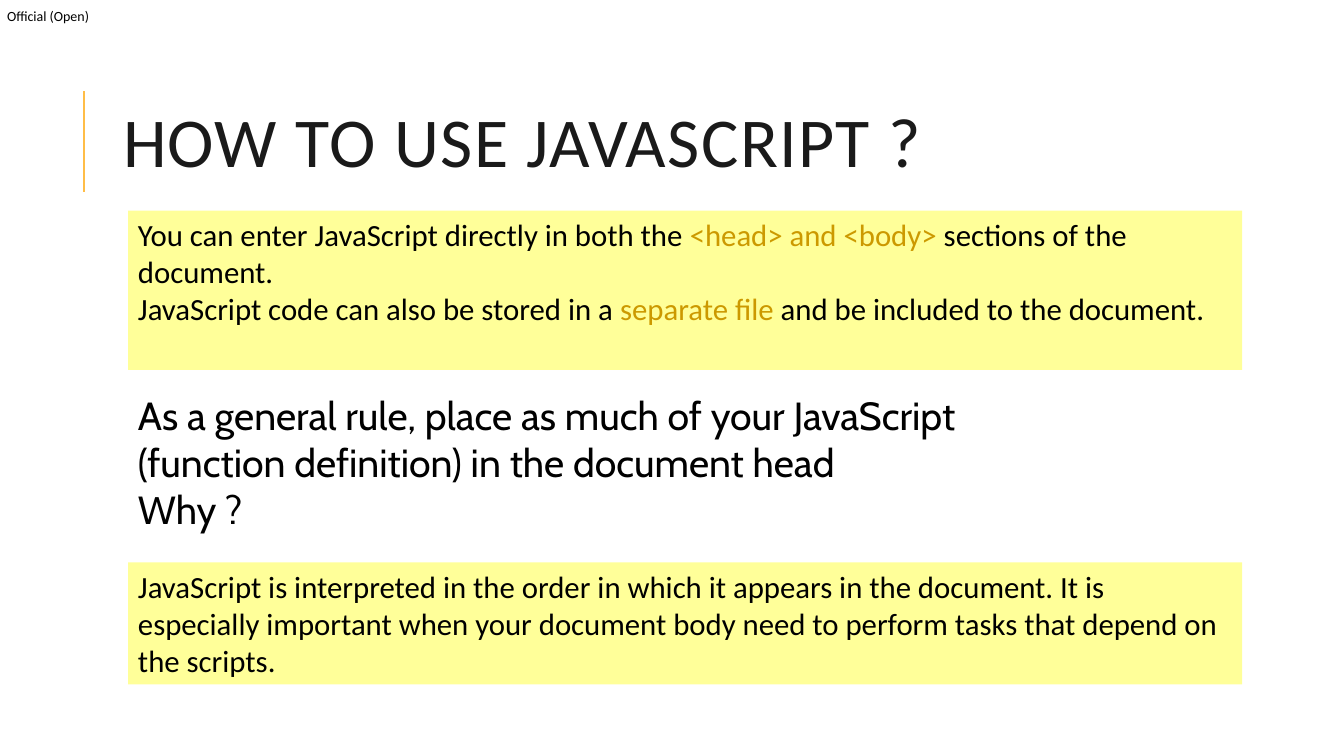
import pptx
import pptx.util
import pptx.dml.color
import pptx.enum.shapes
import pptx.enum.text
import pptx.oxml

WIDE, HIGH = 13.33, 7.5
HUES = {"ink": "000000", "title": "1A1A1A", "gold": "CC9900",
        "rule": "FFBD47", "note": "FFFF99"}
LEFT, SPAN = 1.27, 11.05

TITLE = "HOW TO USE JAVASCRIPT ?"
LABEL = [[("Official (Open)", "ink")]]
ENTRY = [
    [("You can enter JavaScript directly in both the ", "ink"),
     ("<head> and <body>", "gold"),
     (" sections of the document.", "ink")],
    [("JavaScript code can also be stored in a ", "ink"),
     ("separate file", "gold"),
     (" and be included to the document.", "ink")],
]
ADVICE = [
    [("As a general rule, place as much of your JavaScript", "ink")],
    [("(function definition) in the document head", "ink")],
    [("Why ?", "ink")],
]
REASON = [[("JavaScript is interpreted in the order in which it appears in the "
            "document. It is especially important when your document body need "
            "to perform tasks that depend on the scripts.", "ink")]]

BLOCKS = [
    (LABEL, (0.07, 0.07, 0.85, 0.17), "Calibri", 10, None, 0),
    (ENTRY, (LEFT, 2.09, SPAN, 1.58), "Calibri", 22, "note", 0.1),
    (ADVICE, (LEFT, 3.83, 11.83, 1.51), "Cabin", 28, None, 0.1),
    (REASON, (LEFT, 5.58, SPAN, 1.21), "Calibri", 22, "note", 0.1),
]


def color(name):
    return pptx.dml.color.RGBColor.from_string(HUES[name])


def inches(nums):
    return [pptx.util.Inches(n) for n in nums]


def style(run, face, size, hue):
    run.font.name = face
    run.font.size = pptx.util.Pt(size)
    run.font.color.rgb = color(hue)


def add_rule(slide):
    ends = inches((0.83, 1.9, 0.83, 0.9))
    kind = pptx.enum.shapes.MSO_CONNECTOR.STRAIGHT
    rule = slide.shapes.add_connector(kind, *ends)
    rule.line.color.rgb = color("rule")
    rule.line.width = pptx.util.Pt(1.5)
    props = rule._element.spPr
    props.append(props.makeelement(pptx.oxml.ns.qn("a:effectLst"), {}))


def add_title(slide):
    title = slide.shapes.title
    title.left, title.top, title.width, title.height = inches((1.12, 0.64, 10.63, 1.64))
    frame = title.text_frame
    frame.text = TITLE
    frame.auto_size = pptx.enum.text.MSO_AUTO_SIZE.NONE
    frame.vertical_anchor = pptx.enum.text.MSO_ANCHOR.MIDDLE
    para = frame.paragraphs[0]
    para.alignment = pptx.enum.text.PP_ALIGN.LEFT
    para.line_spacing = 0.8
    run = para.runs[0]
    style(run, "Calibri", 50, "title")
    run.font._element.set("spc", "100")


def add_block(slide, lines, place, face, size, fill, inset):
    if fill:
        kind = pptx.enum.shapes.MSO_SHAPE.RECTANGLE
        box = slide.shapes.add_shape(kind, *inches(place))
        box.shadow.inherit = False
        box.fill.solid()
        box.fill.fore_color.rgb = color(fill)
        box.line.fill.background()
    else:
        box = slide.shapes.add_textbox(*inches(place))
    frame = box.text_frame
    frame.word_wrap = True
    frame.vertical_anchor = pptx.enum.text.MSO_ANCHOR.TOP
    frame.margin_left = frame.margin_right = pptx.util.Inches(inset)
    frame.margin_top = frame.margin_bottom = pptx.util.Inches(inset / 2)
    for i, line in enumerate(lines):
        para = frame.add_paragraph() if i else frame.paragraphs[0]
        para.alignment = pptx.enum.text.PP_ALIGN.LEFT
        for words, hue in line:
            run = para.add_run()
            run.text = words
            style(run, face, size, hue)


def main():
    deck = pptx.Presentation()
    deck.slide_width, deck.slide_height = inches((WIDE, HIGH))
    slide = deck.slides.add_slide(deck.slide_layouts[5])
    add_rule(slide)
    add_title(slide)
    for block in BLOCKS:
        add_block(slide, *block)
    deck.save("out.pptx")


if __name__ == "__main__":
    main()
